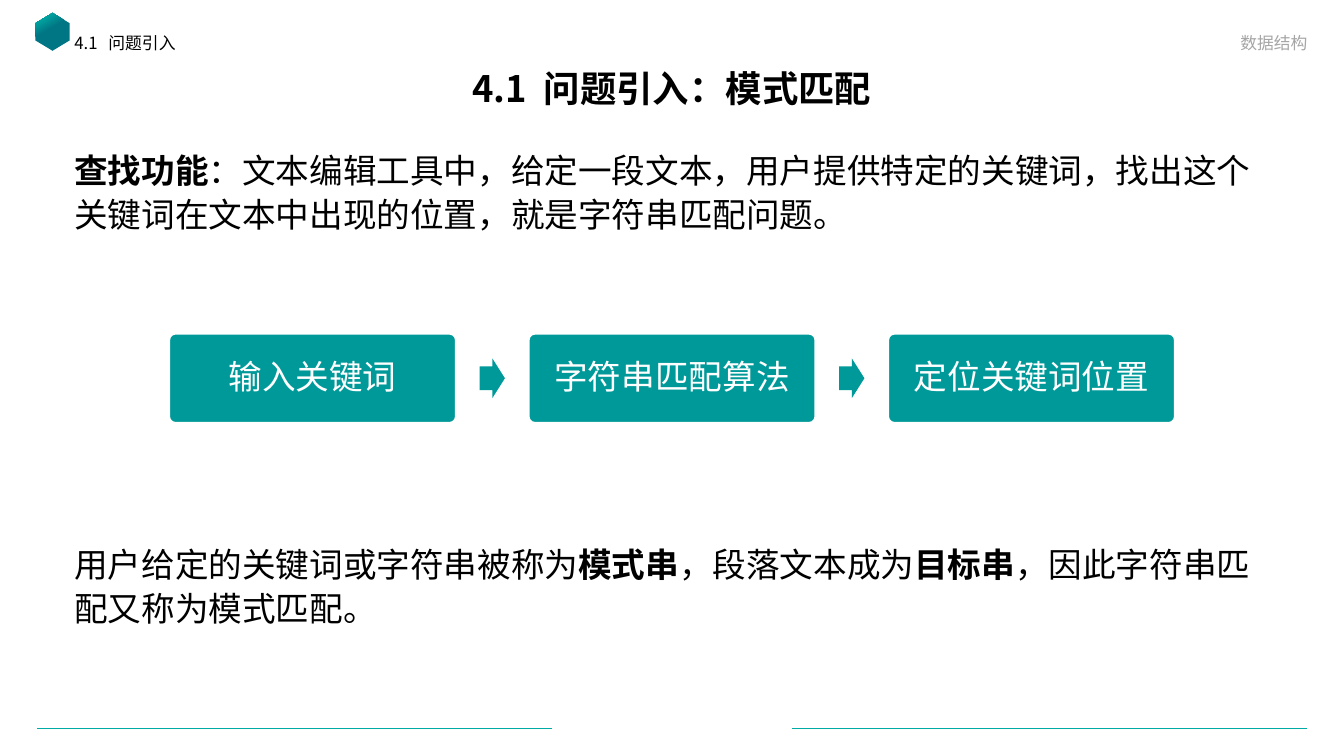
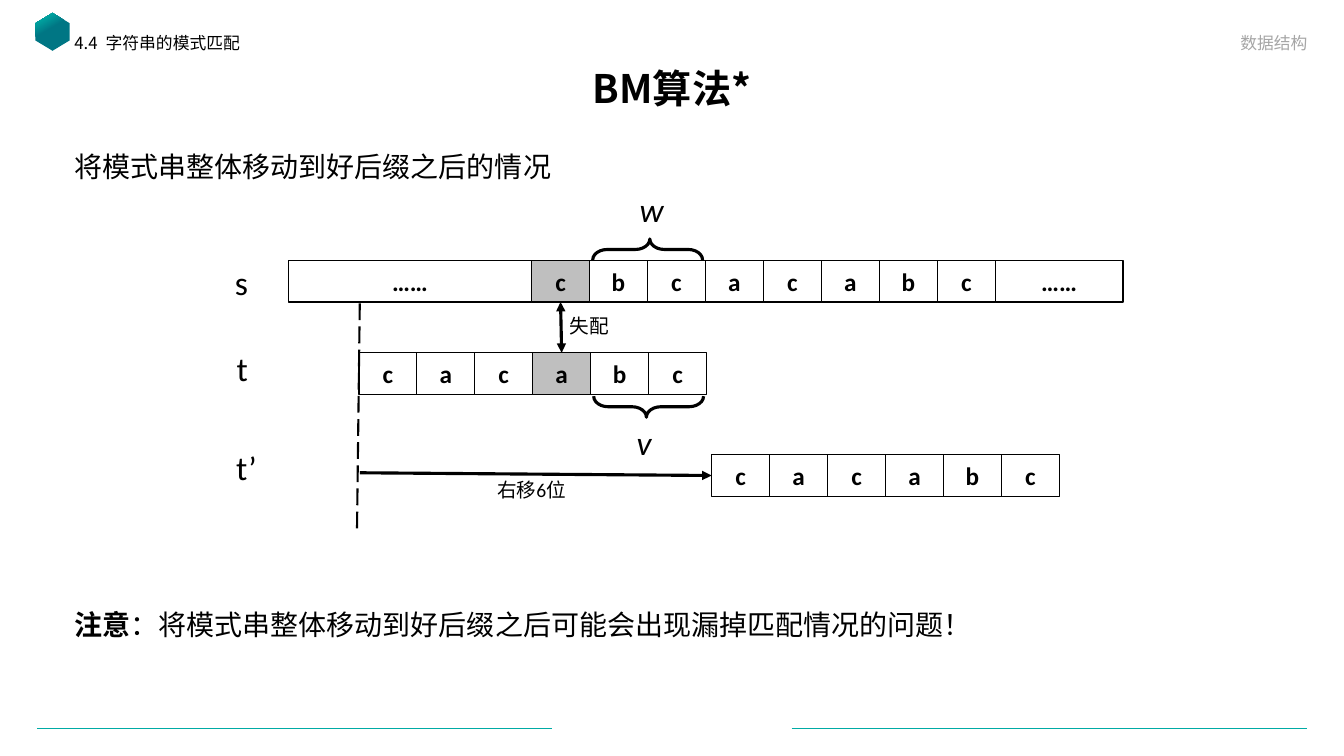
import pptx
import pptx.dml.color
import pptx.enum.dml
import pptx.enum.shapes
import pptx.enum.text
import pptx.oxml
import pptx.oxml.ns
import pptx.util

Pt = pptx.util.Pt
SHAPES = pptx.enum.shapes.MSO_SHAPE
ALIGN = pptx.enum.text.PP_ALIGN
MIDDLE = pptx.enum.text.MSO_ANCHOR.MIDDLE
CJK_FONT = "Noto Sans CJK SC"
LATIN_FONT = "Calibri"
BLACK, WHITE, GRAY, MUTED = "000000", "FFFFFF", "BFBFBF", "A6A6A6"
TEAL, DARK_TEAL, PROCESS_TEAL = "00ABA5", "007684", "009999"
MARGIN, BODY_WIDTH = 46, 870.5
HEADER_MIDDLE, TITLE_MIDDLE = 30.9, 63
CELL_WIDTH, CELL_HEIGHT = 41.4, 29.7


def color(value):
    return pptx.dml.color.RGBColor.from_string(value)


def add_element(parent, tag, **attributes):
    element = pptx.oxml.parse_xml(
        f'<a:{tag} xmlns:a="http://schemas.openxmlformats.org/drawingml/2006/main"/>')
    for name, value in attributes.items():
        element.set(name, value)
    parent.append(element)


def format_run(run, size, font=CJK_FONT, ink=BLACK, bold=False, italic=False):
    run.font.size = Pt(size)
    run.font.name = font
    run.font.bold = bold
    run.font.italic = italic
    run.font.color.rgb = color(ink)
    add_element(run.font._element, "ea", typeface=font)


def write(shape, pieces, size, align=ALIGN.CENTER, bold_pieces=(), line_spacing=1.0, **style):
    frame = shape.text_frame
    frame.word_wrap = True
    frame.vertical_anchor = MIDDLE
    paragraph = frame.paragraphs[0]
    paragraph.alignment = align
    paragraph.line_spacing = line_spacing
    for index, piece in enumerate(pieces):
        run = paragraph.add_run()
        run.text = piece
        format_run(run, size, bold=index in bold_pieces, **style)


def add_text(slide, pieces, left, middle, width, size, **style):
    height = size * 3
    shape = slide.shapes.add_textbox(Pt(left), Pt(middle - height / 2), Pt(width), Pt(height))
    write(shape, pieces, size, **style)
    return shape


def add_label(slide, text, center, middle, size=24, width=90, **style):
    add_text(slide, [text], center - width / 2, middle, width, size, font=LATIN_FONT, **style)


def widen_gap(shape, points):
    gap = shape.text_frame.paragraphs[0].runs[1]
    gap.font._element.set("spc", str(points * 100))


def add_shape(slide, kind, left, top, width, height, fill=None, line=None, line_width=1):
    shape = slide.shapes.add_shape(kind, Pt(left), Pt(top), Pt(width), Pt(height))
    shape.shadow.inherit = False
    if fill:
        shape.fill.solid()
        shape.fill.fore_color.rgb = color(fill)
    else:
        shape.fill.background()
    if line:
        shape.line.color.rgb = color(line)
        shape.line.width = Pt(line_width)
    else:
        shape.line.fill.background()
    return shape


def add_line(slide, start, end, width, ink=BLACK, head=False, tail=False):
    connector = slide.shapes.add_connector(
        pptx.enum.shapes.MSO_CONNECTOR.STRAIGHT, *[Pt(value) for value in (*start, *end)])
    connector.line.color.rgb = color(ink)
    connector.line.width = Pt(width)
    properties = connector._element.spPr
    line = properties.find(pptx.oxml.ns.qn("a:ln"))
    for tag, wanted in (("headEnd", head), ("tailEnd", tail)):
        if wanted:
            add_element(line, tag, type="triangle")
    add_element(properties, "effectLst")
    return connector


def add_emblem(slide):
    emblem = add_shape(slide, SHAPES.HEXAGON, 24, 10.5, 27, 24.5)
    emblem.rotation = 90
    emblem.adjustments[0] = 0.3
    emblem.fill.gradient()
    emblem.fill.gradient_angle = 210
    stops = ((0.57, DARK_TEAL), (0.87, TEAL))
    for stop, (position, value) in zip(emblem.fill.gradient_stops, stops):
        stop.position = position
        stop.color.rgb = color(value)


def add_content_slide(presentation, section, section_gap, title, title_size):
    slide = presentation.slides.add_slide(presentation.slide_layouts[6])
    for left in (26.6, 565.4):
        add_line(slide, (left, 520), (left + 368, 520), 0.5, TEAL)
    add_emblem(slide)
    heading = add_text(slide, title, 66, TITLE_MIDDLE, 828, title_size,
                       bold_pieces=range(len(title)))
    section_label = add_text(slide, section, MARGIN, HEADER_MIDDLE, 383, 12, align=ALIGN.LEFT)
    widen_gap(section_label, section_gap)
    add_text(slide, ["数据结构"], 535, HEADER_MIDDLE, 406, 12, align=ALIGN.RIGHT, ink=MUTED)
    return slide, heading


def add_body(slide, pieces, middle, size, **style):
    add_text(slide, pieces, MARGIN, middle, BODY_WIDTH, size, align=ALIGN.LEFT,
             line_spacing=1.1, **style)


def add_process(slide, steps):
    left, top, width, height, gap = 121, 238.5, 204.5, 63.4, 52.3
    arrow_width, arrow_height = 18, 28.5
    for index, step in enumerate(steps):
        step_left = left + index * (width + gap)
        box = add_shape(slide, SHAPES.ROUNDED_RECTANGLE, step_left, top, width, height,
                        PROCESS_TEAL, WHITE)
        box.adjustments[0] = 0.07
        write(box, [step], 24, ink=WHITE, line_spacing=0.9)
        if index:
            arrow = add_shape(slide, SHAPES.RIGHT_ARROW, step_left - (gap + arrow_width) / 2,
                              top + (height - arrow_height) / 2, arrow_width, arrow_height,
                              PROCESS_TEAL)
            arrow.adjustments[0] = 0.6


def add_cells(slide, texts, left, top, highlight=None, wide=None):
    cells = []
    for index, text in enumerate(texts):
        width = (wide or {}).get(index, CELL_WIDTH)
        fill = GRAY if index == highlight else WHITE
        cell = add_shape(slide, SHAPES.RECTANGLE, left, top, width, CELL_HEIGHT, fill, BLACK)
        write(cell, [text], 18, font=LATIN_FONT, bold_pieces=(0,))
        cells.append(cell)
        left += width
    return cells


def add_brace(slide, center, middle, rotation):
    width, height = 15, 78.5
    brace = add_shape(slide, SHAPES.LEFT_BRACE, center - width / 2, middle - height / 2,
                      width, height, line=BLACK, line_width=2.25)
    brace.adjustments[0] = 0.69
    brace.adjustments[1] = 0.48
    brace.rotation = rotation


def add_shift_diagram(slide):
    target = add_cells(slide, ["……", *"cbcacabc", "……"], 206, 186, 1, {0: 173.7, 9: 91.4})
    pattern = add_cells(slide, "cacabc", 256.3, 252, 3)
    shifted = add_cells(slide, "cacabc", 508.3, 324.8)

    mismatch = add_line(slide, (400, 216), (400, 252), 2.25, head=True, tail=True)
    mismatch.begin_connect(target[1], 2)
    mismatch.end_connect(pattern[3], 0)
    shift = add_line(slide, (257, 337.7), (508, 339.7), 2.25, tail=True)
    shift.end_connect(shifted[0], 1)
    guide = add_line(slide, (257, 216.7), (255, 380), 1.5)
    guide.line.dash_style = pptx.enum.dml.MSO_LINE.LONG_DASH

    add_brace(slide, 462.6, 178.2, 90)
    add_brace(slide, 463.3, 290.5, 270)
    for text, center, middle in (("s", 172.4, 201.6), ("t", 173, 262.8), ("t’", 176, 333.4)):
        add_label(slide, text, center, middle)
    for text, center, middle in (("w", 465.5, 149.5), ("v", 460, 316)):
        add_label(slide, text, center, middle, italic=True)
    for text, center, middle in (("失配", 420.8, 232.6), ("右移6位", 379.7, 350)):
        add_label(slide, text, center, middle, size=14)


def main():
    presentation = pptx.Presentation()
    presentation.slide_width = Pt(960)
    presentation.slide_height = Pt(540)

    slide, heading = add_content_slide(
        presentation, ["4.1", " ", "问题引入"], 5, ["4.1", " ", "问题引入：模式匹配"], 26)
    widen_gap(heading, 6)
    add_body(slide, ["查找功能", "：文本编辑工具中，给定一段文本，用户提供特定的关键词，"
                     "找出这个关键词在文本中出现的位置，就是字符串匹配问题。"],
             135.7, 24, bold_pieces=(0,))
    add_process(slide, ["输入关键词", "字符串匹配算法", "定位关键词位置"])
    add_body(slide, ["用户给定的关键词或字符串被称为", "模式串", "，段落文本成为", "目标串",
                     "，因此字符串匹配又称为模式匹配。"],
             417.3, 24, bold_pieces=(1, 3))

    slide, heading = add_content_slide(
        presentation, ["4.4", " ", "字符串的模式匹配"], 3, ["BM算法*"], 28)
    add_body(slide, ["将模式串整体移动到好后缀之后的情况"], 117.4, 20)
    add_shift_diagram(slide)
    add_body(slide, ["注意", "：将模式串整体移动到好后缀之后可能会出现漏掉匹配情况的问题！"],
             444.8, 20, bold_pieces=(0,))

    presentation.save("out.pptx")


if __name__ == "__main__":
    main()
